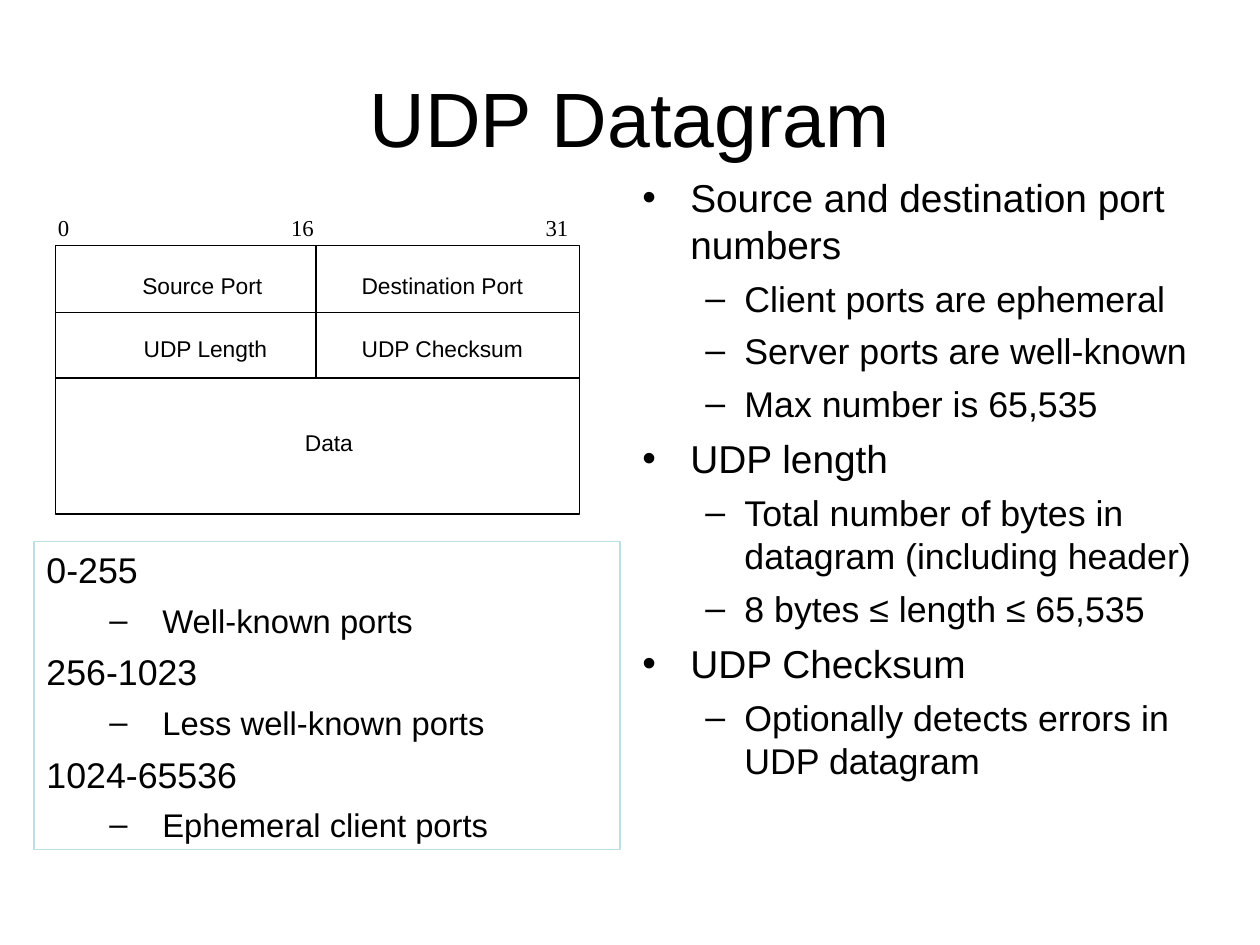
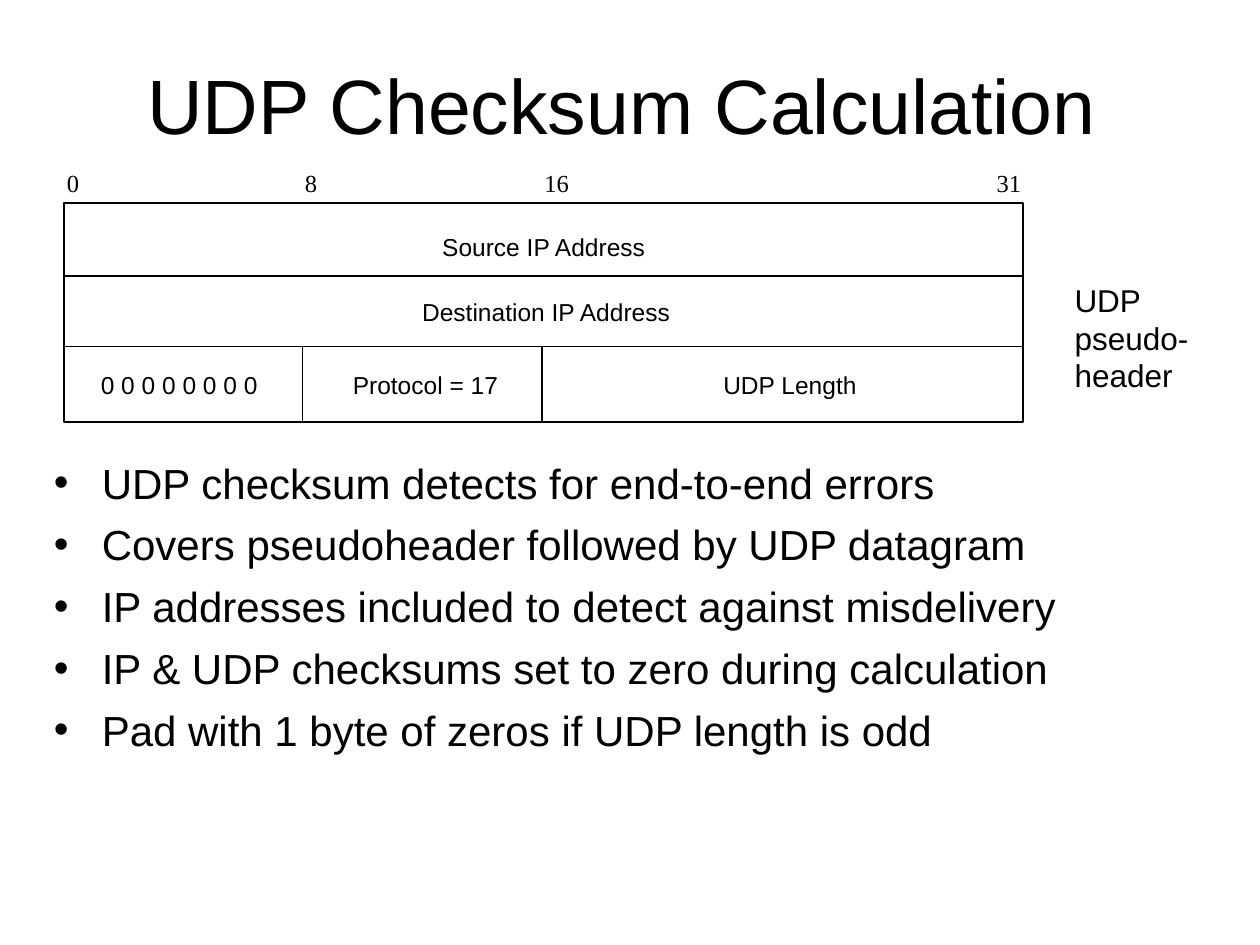
import pptx
import pptx.dml.color
import pptx.enum.shapes
import pptx.enum.text
import pptx.oxml
import pptx.oxml.ns
import pptx.util
import lxml.etree

Inches, Pt = pptx.util.Inches, pptx.util.Pt
ALIGN, ANCHOR = pptx.enum.text.PP_ALIGN, pptx.enum.text.MSO_ANCHOR
SANS, SERIF = "Arial", "Times New Roman"
BLACK, PALE_BLUE = "000000", "BBE0E3"

POINTS = [{"size": 22.2, "indent": (0.38, -0.38), "before": 6, "bullet": "•"},
          {"size": 20.4, "indent": (0.81, -0.31), "before": 5.5, "bullet": "–"}]
PORTS = [{"size": 20.4, "indent": (0.5, -0.5), "before": 6},
         {"size": 18.7, "indent": (0.92, -0.42), "before": 5.5, "bullet": "–"}]
CHECKSUM = [{"size": 24, "indent": (0.38, -0.38), "before": 6.5, "bullet": "•"}]

SLIDES = [
    {
        "title": ("UDP Datagram", (0.5, 0.3, 9, 1.25)),
        "lists": [
            ((5, 1.33, 4.65, 4.95), POINTS, None, [
                (0, "Source and destination port numbers"),
                (1, "Client ports are ephemeral"),
                (1, "Server ports are well-known"),
                (1, "Max number is 65,535"),
                (0, "UDP length"),
                (1, "Total number of bytes in datagram (including header)"),
                (1, "8 bytes ≤ length ≤ 65,535"),
                (0, "UDP Checksum"),
                (1, "Optionally detects errors in UDP datagram")]),
            ((0.27, 4.3, 4.65, 2.44), PORTS, PALE_BLUE, [
                (0, "0-255"),
                (1, "Well-known ports"),
                (0, "256-1023"),
                (1, "Less well-known ports"),
                (0, "1024-65536"),
                (1, "Ephemeral client ports")]),
        ],
        "frame": (0.44, 1.95, 4.16, 2.13),
        "line": 0.88,
        "row_edges": [2.48, 3],
        "dividers": [(2.51, 1.95, 3)],
        "label_size": 13,
        "labels": [
            ((0.46, 1.7, 4.05), SERIF, [(0, "0"), (1.85, "16"), (3.87, "31")]),
            ((1.13, 2.16, 3.03), SANS, [(0, "Source Port"), (1.74, "Destination Port")]),
            ((1.14, 2.66, 3.01), SANS, [(0, "UDP Length"), (1.73, "UDP Checksum")]),
            ((2.42, 3.4, 0.38), SANS, [(0, "Data")]),
        ],
    },
    {
        "title": ("UDP Checksum Calculation", (0.68, 0.36, 8.51, 0.93)),
        "lists": [
            ((0.33, 3.58, 8.5, 2.54), CHECKSUM, None, [
                (0, "UDP checksum detects for end-to-end errors"),
                (0, "Covers pseudoheader followed by UDP datagram"),
                (0, "IP addresses included to detect against misdelivery"),
                (0, "IP & UDP checksums set to zero during calculation"),
                (0, "Pad with 1 byte of zeros if UDP length is odd")]),
            ((8.43, 2.18, 1.57, 1), [{"size": 18}], None, [(0, "UDP pseudo-header")]),
        ],
        "frame": (0.51, 1.61, 7.61, 1.74),
        "line": 1,
        "row_edges": [2.19, 2.75],
        "dividers": [(2.4, 2.75, 3.35), (4.3, 2.75, 3.35)],
        "label_size": 14,
        "labels": [
            ((0.53, 1.33, 7.61), SERIF, [(0, "0"), (1.89, "8"), (3.79, "16"), (7.38, "31")]),
            ((3.51, 1.84, 1.63), SANS, [(0, "Source IP Address")]),
            ((3.35, 2.36, 1.98), SANS, [(0, "Destination IP Address")]),
            ((0.8, 2.94, 6.01), SANS,
             [(0, "0 0 0 0 0 0 0 0"), (2, "Protocol = 17"), (4.94, "UDP Length")]),
        ],
    },
]


def color(value):
    return pptx.dml.color.RGBColor.from_string(value)


def add_element(parent, tag, **attributes):
    return lxml.etree.SubElement(parent, pptx.oxml.ns.qn(tag), **attributes)


def add_outline(slide, box, line_color, width):
    sp = slide.shapes.add_shape(pptx.enum.shapes.MSO_SHAPE.RECTANGLE, *map(Inches, box))
    sp.shadow.inherit = False
    sp.fill.background()
    sp.line.color.rgb = color(line_color)
    sp.line.width = Pt(width)
    return sp


def add_line(slide, x1, y1, x2, y2, width):
    line = slide.shapes.add_connector(
        pptx.enum.shapes.MSO_CONNECTOR.STRAIGHT, *map(Inches, (x1, y1, x2, y2)))
    line.line.color.rgb = color(BLACK)
    line.line.width = Pt(width)
    add_element(line._element.spPr, "a:effectLst")


def set_text(p, text, size, font=SANS, align=ALIGN.LEFT):
    p.text = text
    p.alignment = align
    p.font.size = Pt(size)
    p.font.name = font
    p.font.color.rgb = color(BLACK)


def add_title(slide, text, box):
    tf = slide.shapes.add_textbox(*map(Inches, box)).text_frame
    tf.word_wrap = True
    tf.vertical_anchor = ANCHOR.MIDDLE
    set_text(tf.paragraphs[0], text, 44, align=ALIGN.CENTER)


def add_list(slide, box, styles, border, items):
    if border:
        sp = add_outline(slide, box, border, 0.75)
    else:
        sp = slide.shapes.add_textbox(*map(Inches, box))
    tf = sp.text_frame
    tf.word_wrap = True
    tf.vertical_anchor = ANCHOR.TOP
    for i, (level, text) in enumerate(items):
        style = styles[level]
        p = tf.add_paragraph() if i else tf.paragraphs[0]
        p.level = level
        pPr = p._p.get_or_add_pPr()
        margin, hang = style.get("indent", (0, 0))
        pPr.set("marL", str(Inches(margin)))
        pPr.set("indent", str(Inches(hang)))
        if "bullet" in style:
            add_element(pPr, "a:buFont", typeface=SANS)
            add_element(pPr, "a:buChar", char=style["bullet"])
        set_text(p, text, style["size"])
        p.space_before = Pt(style.get("before", 0) if i else 0)


def add_label_row(slide, place, font, size, cells):
    left, top, width = place
    tf = slide.shapes.add_textbox(*map(Inches, (left, top, width + 0.1, 0.23))).text_frame
    tf.margin_left = tf.margin_right = tf.margin_top = tf.margin_bottom = 0
    tf.word_wrap = True
    p = tf.paragraphs[0]
    if len(cells) > 1:
        tabs = add_element(p._p.get_or_add_pPr(), "a:tabLst")
        for offset, _ in cells[1:]:
            add_element(tabs, "a:tab", pos=str(Inches(offset)), algn="l")
    set_text(p, "\t".join(text for _, text in cells), size, font)


def add_diagram(slide, content):
    left, _, width, _ = content["frame"]
    weight = content["line"]
    add_outline(slide, content["frame"], BLACK, weight)
    for y in content["row_edges"]:
        add_line(slide, left, y, left + width, y, weight)
    for x, top, bottom in content["dividers"]:
        add_line(slide, x, top, x, bottom, weight)
    for place, font, cells in content["labels"]:
        add_label_row(slide, place, font, content["label_size"], cells)


def main():
    prs = pptx.Presentation()
    prs.slide_width, prs.slide_height = Inches(10), Inches(7.5)
    for content in SLIDES:
        slide = prs.slides.add_slide(prs.slide_layouts[6])
        add_title(slide, *content["title"])
        add_diagram(slide, content)
        for entry in content["lists"]:
            add_list(slide, *entry)
    prs.save("out.pptx")


if __name__ == "__main__":
    main()
